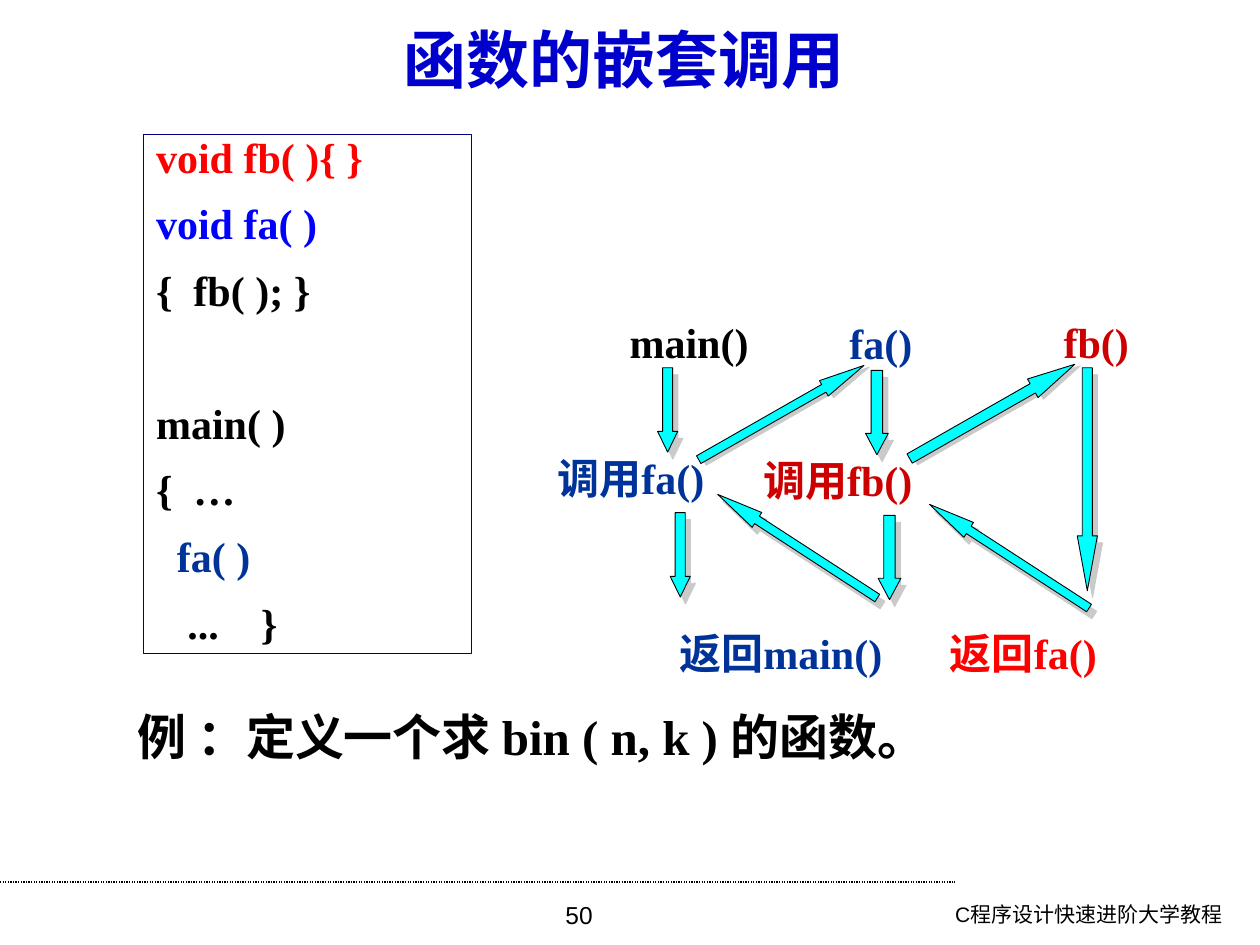
from lxml import etree
from pptx import Presentation
from pptx.dml.color import RGBColor
from pptx.enum.dml import MSO_LINE
from pptx.enum.shapes import MSO_CONNECTOR, MSO_SHAPE
from pptx.enum.text import MSO_ANCHOR, MSO_AUTO_SIZE, PP_ALIGN
from pptx.oxml.ns import qn
from pptx.util import Pt

DOWN_ARROW = MSO_SHAPE.DOWN_ARROW
RECTANGLE = MSO_SHAPE.RECTANGLE
STRAIGHT = MSO_CONNECTOR.STRAIGHT
DOTTED = MSO_LINE.ROUND_DOT
GROW = MSO_AUTO_SIZE.SHAPE_TO_FIT_TEXT
TOP, MIDDLE = MSO_ANCHOR.TOP, MSO_ANCHOR.MIDDLE
LEFT, CENTER, RIGHT = PP_ALIGN.LEFT, PP_ALIGN.CENTER, PP_ALIGN.RIGHT

BLACK = RGBColor(0x00, 0x00, 0x00)
RED = RGBColor(0xFF, 0x00, 0x00)
DARK_RED = RGBColor(0xCC, 0x00, 0x00)
BLUE = RGBColor(0x00, 0x00, 0xFF)
TITLE_BLUE = RGBColor(0x00, 0x00, 0xCC)
STEEL = RGBColor(0x00, 0x33, 0x99)
NAVY = RGBColor(0x00, 0x00, 0x80)
CYAN = RGBColor(0x00, 0xFF, 0xFF)
SHADOW = RGBColor(0xCA, 0xCA, 0xCA)

SERIF, SANS = "Times New Roman", "Arial"


class Deck:
    """Style of the deck and the slide being built; lengths in points."""

    def __init__(self):
        self.prs = Presentation()
        self.prs.slide_width, self.prs.slide_height = Pt(720), Pt(540)
        self.s = self.prs.slides.add_slide(self.prs.slide_layouts[5])

    def run(self, p, text, color, size=24, font=SERIF, bold=True):
        r = p.add_run()
        r.text = text
        r.font.name, r.font.size, r.font.bold = font, Pt(size), bold
        r.font.color.rgb = color

    def frame(self, sp, anchor, wrap, inset=(7.2, 3.6)):
        tf = sp.text_frame
        tf.word_wrap, tf.vertical_anchor = wrap, anchor
        tf.margin_left = tf.margin_right = Pt(inset[0])
        tf.margin_top = tf.margin_bottom = Pt(inset[1])
        return tf

    def title(self, runs, x, y, w, h):
        sp = self.s.shapes.title
        sp.left, sp.top, sp.width, sp.height = Pt(x), Pt(y), Pt(w), Pt(h)
        p = self.frame(sp, MIDDLE, True, (0, 0)).paragraphs[0]
        p.alignment = CENTER
        for text, color in runs:
            self.run(p, text, color, 36, SANS)

    def text(self, runs, x, y, w, h, align=CENTER, anchor=MIDDLE, wrap=False, **style):
        sp = self.s.shapes.add_textbox(Pt(x), Pt(y), Pt(w), Pt(h))
        tf = self.frame(sp, anchor, wrap)
        if not wrap:
            tf.auto_size = GROW
        p = tf.paragraphs[0]
        p.alignment = align
        for text, color in runs:
            self.run(p, text, color, **style)

    def code(self, lines, x, y, w, h):
        sp = self.s.shapes.add_shape(RECTANGLE, Pt(x), Pt(y), Pt(w), Pt(h))
        sp.shadow.inherit = False
        sp.fill.background()
        sp.line.color.rgb, sp.line.width = NAVY, Pt(0.75)
        tf = self.frame(sp, TOP, True)
        for i, (before, runs) in enumerate(lines):
            p = tf.add_paragraph() if i else tf.paragraphs[0]
            p.alignment, p.line_spacing, p.space_before = LEFT, 0.8, Pt(before)
            for text, color in runs:
                self.run(p, text, color)

    def arrow(self, x, y, w, h, head, rotation=0, shadow=(5, 53)):
        sp = self.s.shapes.add_shape(DOWN_ARROW, Pt(x), Pt(y), Pt(w), Pt(h))
        sp.adjustments[0], sp.adjustments[1] = 0.5, head / w
        sp.rotation = rotation
        sp.fill.solid()
        sp.fill.fore_color.rgb = CYAN
        sp.line.color.rgb, sp.line.width = BLACK, Pt(0.5)
        sp.shadow.inherit = False
        dist, angle = shadow
        effects = sp._element.spPr.find(qn("a:effectLst"))
        outer = etree.SubElement(effects, qn("a:outerShdw"), dist=str(int(Pt(dist))),
                                 dir=str(angle * 60000), algn="ctr", rotWithShape="0")
        etree.SubElement(outer, qn("a:srgbClr"), val=str(SHADOW))

    def rule(self, x1, y1, x2, y2):
        c = self.s.shapes.add_connector(STRAIGHT, Pt(x1), Pt(y1), Pt(x2), Pt(y2))
        c.line.color.rgb, c.line.width = BLACK, Pt(0.75)
        c.line.dash_style = DOTTED
        etree.SubElement(c._element.spPr, qn("a:effectLst"))


def main():
    d = Deck()

    # Footer
    d.rule(0, 504, 545.8, 504)
    footer = dict(anchor=TOP, wrap=True, font=SANS, bold=False)
    d.text([("C程序设计快速进阶大学教程", BLACK)], 473, 511.9, 232.6, 28,
           align=RIGHT, size=12, **footer)
    d.text([("50", BLACK)], 247, 510.5, 167.8, 29.5, size=14, **footer)

    # Title
    d.title([(" ", TITLE_BLUE), ("函数的嵌套调用 ", TITLE_BLUE)], 31, 15.1, 651.6, 36)

    # Program listing; the wider gap separates the functions from main
    d.code([
        (0, [("void fb( ){ }", RED)]),
        (15, [("void fa( )", BLUE)]),
        (15, [("{  fb( ); }", BLACK)]),
        (53, [("main( )", BLACK)]),
        (15, [("{  …", BLACK)]),
        (15, [("  ", BLACK), ("fa( )", STEEL)]),
        (15, [("   ...    }", BLACK)]),
    ], 82.1, 77, 187.2, 296.6)

    # Steps going down inside each function
    for x, y, w, h, head in [
        (375.8, 210.2, 11.5, 48.2, 11.8), (383.0, 293.0, 11.5, 48.2, 11.8),
        (494.6, 211.7, 13, 48.2, 12.2), (501.8, 294.5, 13, 48.2, 12.2),
        (615.6, 210.2, 11.5, 127.4, 31.3),
    ]:
        d.arrow(x, y, w, h, head)

    # Calls going up right, returns going up left
    for x, y, w, head in [(441.4, 181.4, 10.1, 26.4), (560.9, 180.7, 12.2, 27.7)]:
        d.arrow(x, y, w, 108.7, head, 240.3, (3.2, 18))
    for x, y in [(571.7, 263.5), (450.7, 257.8)]:
        d.arrow(x, y, 10.1, 108.7, 26.7, 123)

    # Function names and calls, each box a little wider than its text
    for runs, x, y, w in [
        ([("main()", BLACK)], 350.8, 177.1, 86),
        ([("fa()", STEEL)], 476.1, 177.8, 54.4),
        ([("fb()", DARK_RED)], 598.5, 177.1, 55.8),
        ([(" ", BLACK), ("调用fa()", STEEL)], 301.1, 254.9, 113.4),
        ([("调用fb()", DARK_RED)], 424.2, 256.3, 109.1),
    ]:
        d.text(runs, x, y, w, 36)

    # Return labels
    d.text([(" 返回fa()", RED)], 529.9, 340.6, 104.4, 64.8, wrap=True)
    d.text([(" ", BLACK), ("返回main()", STEEL)], 371.5, 355, 144, 36, wrap=True)

    # Exercise
    d.text([("例 ：定义一个求 bin ( n, k ) 的函数。", BLACK)], 71.3, 400.3, 478.1, 41,
           align=LEFT, size=28)

    d.prs.save("out.pptx")


if __name__ == "__main__":
    main()
